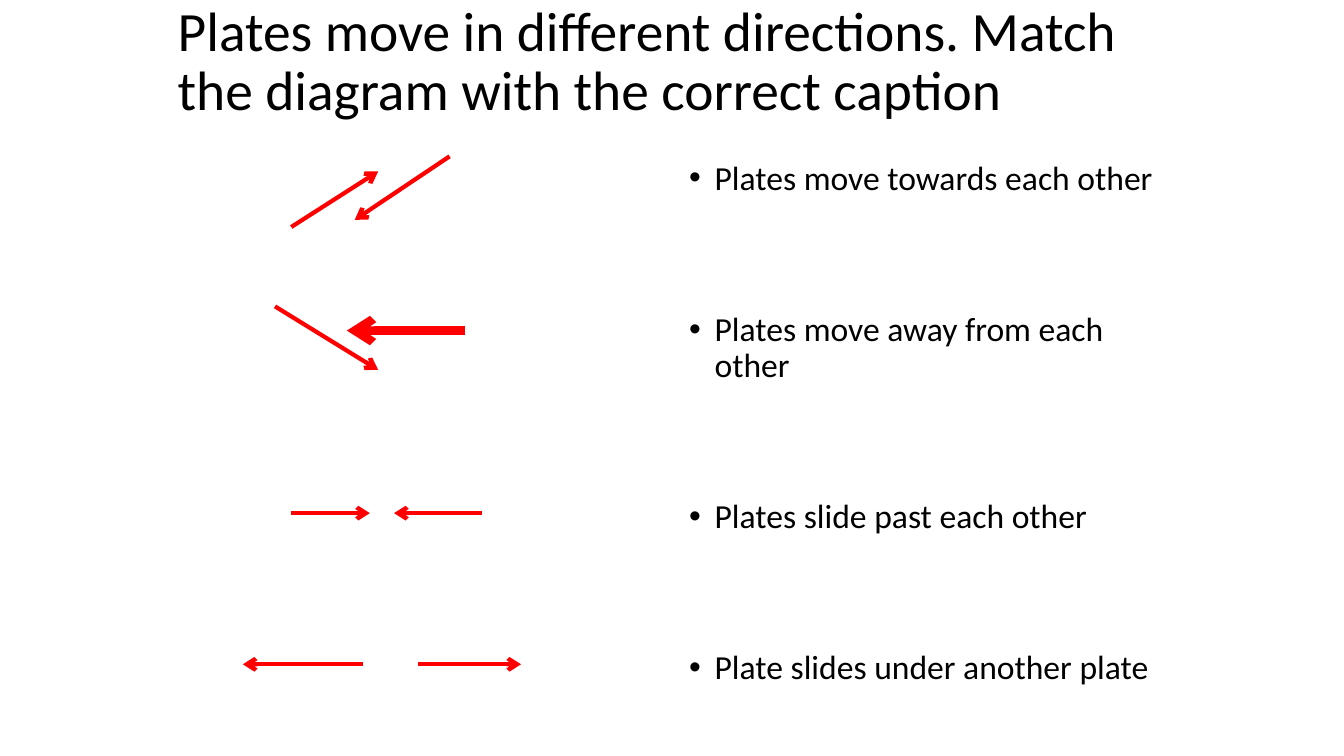
from lxml import etree
from pptx import Presentation
from pptx.dml.color import RGBColor
from pptx.enum.shapes import MSO_CONNECTOR
from pptx.enum.text import MSO_ANCHOR
from pptx.oxml.ns import qn
from pptx.util import Cm, Pt

STRAIGHT = MSO_CONNECTOR.STRAIGHT
MIDDLE, TOP = MSO_ANCHOR.MIDDLE, MSO_ANCHOR.TOP
COLOURS = {"text": "000000", "arrow": "FF0000"}
FONT = "Calibri"

presentation = Presentation()
presentation.slide_width = Cm(33.87)
presentation.slide_height = Cm(19.05)
slide = presentation.slides.add_slide(presentation.slide_layouts[6])


def add_text_frame(left, top, width, height, anchor):
    box = slide.shapes.add_textbox(Cm(left), Cm(top), Cm(width), Cm(height))
    box.text_frame.word_wrap = True
    box.text_frame.vertical_anchor = anchor
    return box.text_frame


def add_line_of_text(paragraph, text, size):
    paragraph.line_spacing = 0.9
    run = paragraph.add_run()
    run.text = text
    run.font.name = FONT
    run.font.size = Pt(size)
    run.font.color.rgb = RGBColor.from_string(COLOURS["text"])


# Title
title = add_text_frame(4.23, 0, 25.4, 3.18, MIDDLE)
add_line_of_text(
    title.paragraphs[0],
    "Plates move in different directions. Match the diagram with the correct caption",
    39.6,
)

# Captions
captions = [
    "Plates move towards each other",
    "Plates move away from each other",
    "Plates slide past each other",
    "Plate slides under another plate",
]
caption_frame = add_text_frame(17.12, 3.94, 12.5, 14.6, TOP)
for index, caption in enumerate(captions):
    if index == 0:
        paragraph = caption_frame.paragraphs[0]
    else:
        paragraph = caption_frame.add_paragraph()
        paragraph.space_before = Pt(82)
    properties = paragraph._p.get_or_add_pPr()
    properties.set("marL", str(Cm(0.64)))
    properties.set("indent", str(-Cm(0.64)))
    etree.SubElement(properties, qn("a:buFont"), typeface="Arial")
    etree.SubElement(properties, qn("a:buChar"), char="•")
    add_line_of_text(paragraph, caption, 24)

# Plate movements: start x, start y, end x, end y (cm), line width (pt)
plate_arrows = [
    (7.34, 5.72, 9.53, 4.32, 3),
    (11.33, 3.94, 8.94, 5.54, 3),
    (6.93, 7.72, 9.53, 9.32, 3),
    (11.73, 8.33, 8.74, 8.33, 6),
    (7.34, 12.93, 9.32, 12.93, 3),
    (12.14, 12.93, 9.93, 12.93, 3),
    (9.14, 16.74, 6.12, 16.74, 3),
    (10.54, 16.74, 13.13, 16.74, 3),
]
for *ends, width in plate_arrows:
    arrow = slide.shapes.add_connector(STRAIGHT, *[Cm(value) for value in ends])
    arrow.line.color.rgb = RGBColor.from_string(COLOURS["arrow"])
    arrow.line.width = Pt(width)
    etree.SubElement(arrow.line._get_or_add_ln(), qn("a:tailEnd"), type="arrow")
    etree.SubElement(arrow._element.spPr, qn("a:effectLst"))

presentation.save("out.pptx")
